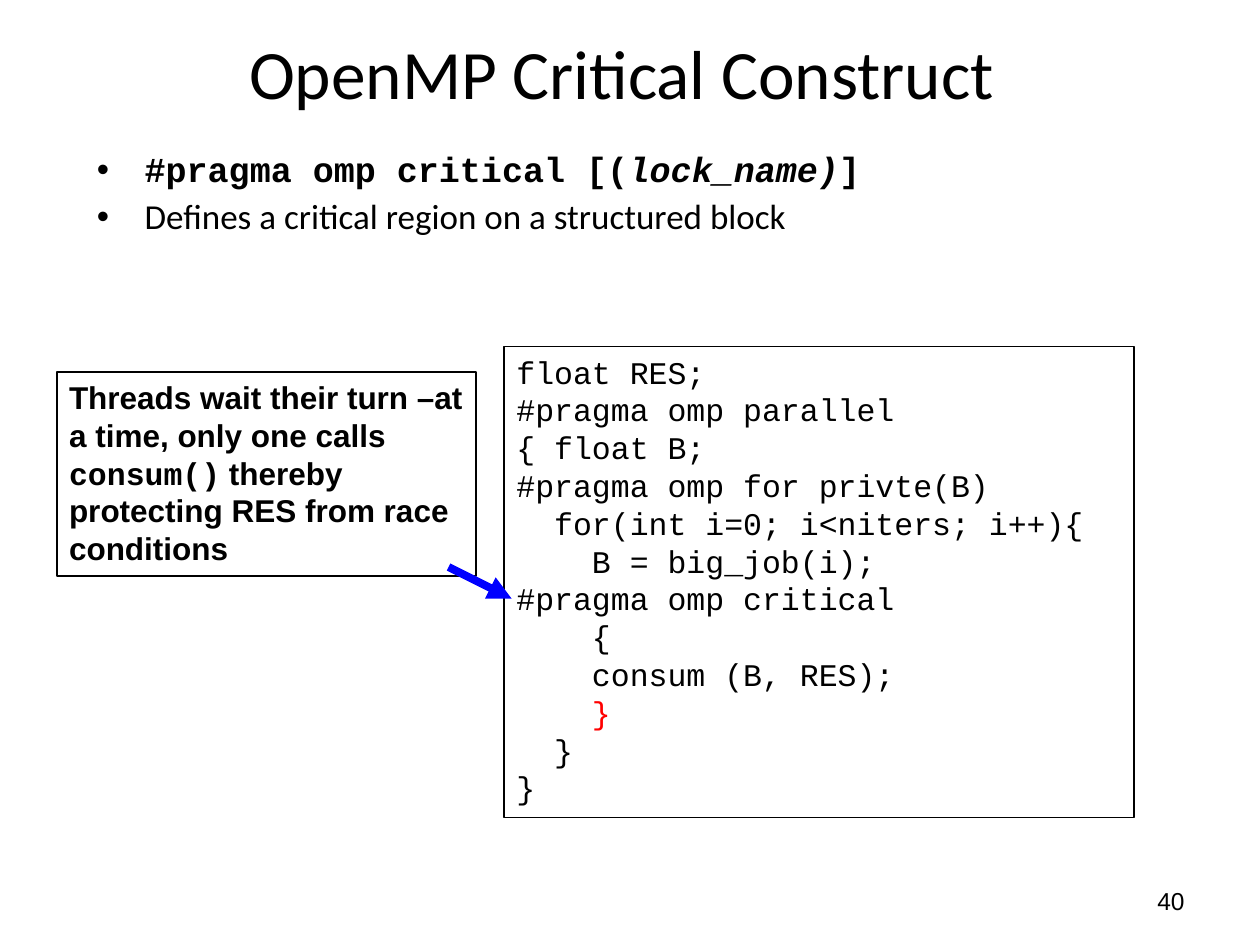
from lxml import etree
from pptx import Presentation
from pptx.dml.color import RGBColor
from pptx.enum.shapes import MSO_CONNECTOR as CONN, MSO_SHAPE as SHAPE
from pptx.enum.text import MSO_ANCHOR as ANCHOR, PP_ALIGN as ALIGN
from pptx.oxml.ns import qn
from pptx.util import Inches, Pt

BLACK, RED, BLUE = "000000", "FF0000", "0000FF"
SANS, MONO, HEAD = "Arial", "Courier New", "Calibri"


def rgb(color):
    return RGBColor.from_string(color)


class Deck:
    """Holds the style and the current slide."""

    def __init__(self, prs):
        self.slide = prs.slides.add_slide(prs.slide_layouts[5])

    def add_runs(self, p, runs, size, font, bold=False):
        """Each run is a text or a (text, changes) pair."""
        for run in runs:
            text, changes = (run, {}) if isinstance(run, str) else run
            r = p.add_run()
            r.text = text
            r.font.size = Pt(size)
            r.font.name = changes.get("font", font)
            r.font.bold = changes.get("bold", bold)
            r.font.italic = changes.get("italic", False)
            r.font.color.rgb = rgb(changes.get("color", BLACK))

    def title(self, text, left, top, width, height, size):
        sp = self.slide.shapes.title
        sp.left, sp.top = Inches(left), Inches(top)
        sp.width, sp.height = Inches(width), Inches(height)
        tf = sp.text_frame
        tf.vertical_anchor = ANCHOR.MIDDLE
        tf.paragraphs[0].alignment = ALIGN.CENTER
        self.add_runs(tf.paragraphs[0], [text], size, HEAD)

    def text(self, left, top, width, height):
        sp = self.slide.shapes.add_textbox(
            Inches(left), Inches(top), Inches(width), Inches(height))
        sp.text_frame.word_wrap = True
        return sp.text_frame

    def bullets(self, items, left, top, width, height, size):
        tf = self.text(left, top, width, height)
        for i, runs in enumerate(items):
            p = tf.add_paragraph() if i else tf.paragraphs[0]
            pPr = p._p.get_or_add_pPr()
            pPr.set("marL", str(Inches(0.38)))
            pPr.set("indent", str(-Inches(0.38)))
            etree.SubElement(pPr, qn("a:buFont")).set("typeface", SANS)
            etree.SubElement(pPr, qn("a:buChar")).set("char", "•")
            p.line_spacing = 0.94
            if i:
                p.space_before = Pt(size * 0.2)
            self.add_runs(p, runs, size, HEAD)

    def number(self, text, left, top, width, height, size):
        tf = self.text(left, top, width, height)
        tf.vertical_anchor = ANCHOR.MIDDLE
        tf.paragraphs[0].alignment = ALIGN.RIGHT
        self.add_runs(tf.paragraphs[0], [text], size, SANS)

    def box(self, lines, left, top, width, height, line_width, font, bold=False):
        sp = self.slide.shapes.add_shape(
            SHAPE.RECTANGLE, Inches(left), Inches(top), Inches(width), Inches(height))
        sp.shadow.inherit = False
        sp.fill.background()
        sp.line.color.rgb = rgb(BLACK)
        sp.line.width = Pt(line_width)
        tf = sp.text_frame
        tf.word_wrap = True
        tf.vertical_anchor = ANCHOR.TOP
        for i, runs in enumerate(lines):
            p = tf.add_paragraph() if i else tf.paragraphs[0]
            p.alignment = ALIGN.LEFT
            self.add_runs(p, runs, 18, font, bold)

    def arrow(self, x1, y1, x2, y2, color, width):
        cn = self.slide.shapes.add_connector(
            CONN.STRAIGHT, Inches(x1), Inches(y1), Inches(x2), Inches(y2))
        cn.line.color.rgb = rgb(color)
        cn.line.width = Pt(width)
        etree.SubElement(cn.line._get_or_add_ln(), qn("a:tailEnd")).set("type", "triangle")
        etree.SubElement(cn._element.spPr, qn("a:effectLst"))


CODE = """float RES;
#pragma omp parallel
{ float B;
#pragma omp for privte(B)
  for(int i=0; i<niters; i++){
    B = big_job(i);
#pragma omp critical
    {
    consum (B, RES);
    }
  }
}"""
RED_LINE = 9  # the brace that closes the critical block


def main():
    prs = Presentation()
    prs.slide_width, prs.slide_height = Inches(10), Inches(7.5)
    deck = Deck(prs)

    # Page number, title and bullets
    deck.number("40", 7.17, 6.95, 2.33, 0.4, 14)
    deck.title("OpenMP Critical Construct", 0.87, 0.34, 8.13, 0.46, 39.6)
    code_bold = {"font": MONO, "bold": True}
    deck.bullets([
        [("#pragma omp critical [(", code_bold),
         ("lock_name)", {**code_bold, "italic": True}),
         ("]", code_bold)],
        ["Defines a critical region on a structured block"],
    ], 0.67, 1.15, 8.2, 1.16, 20)

    # Code listing
    lines = [[line] for line in CODE.split("\n")]
    lines[RED_LINE] = [(lines[RED_LINE][0], {"color": RED})]
    deck.box(lines, 4, 2.75, 5, 3.74, 0.75, MONO)

    # Remark with an arrow to the critical directive
    deck.box([["Threads wait their turn –at a time, only one calls ",
               ("consum()", code_bold),
               " thereby protecting RES from race conditions"]],
             0.45, 2.95, 3.33, 1.62, 1, SANS, bold=True)
    deck.arrow(3.56, 4.5, 4.06, 4.75, BLUE, 4.5)

    prs.save("out.pptx")


if __name__ == "__main__":
    main()
